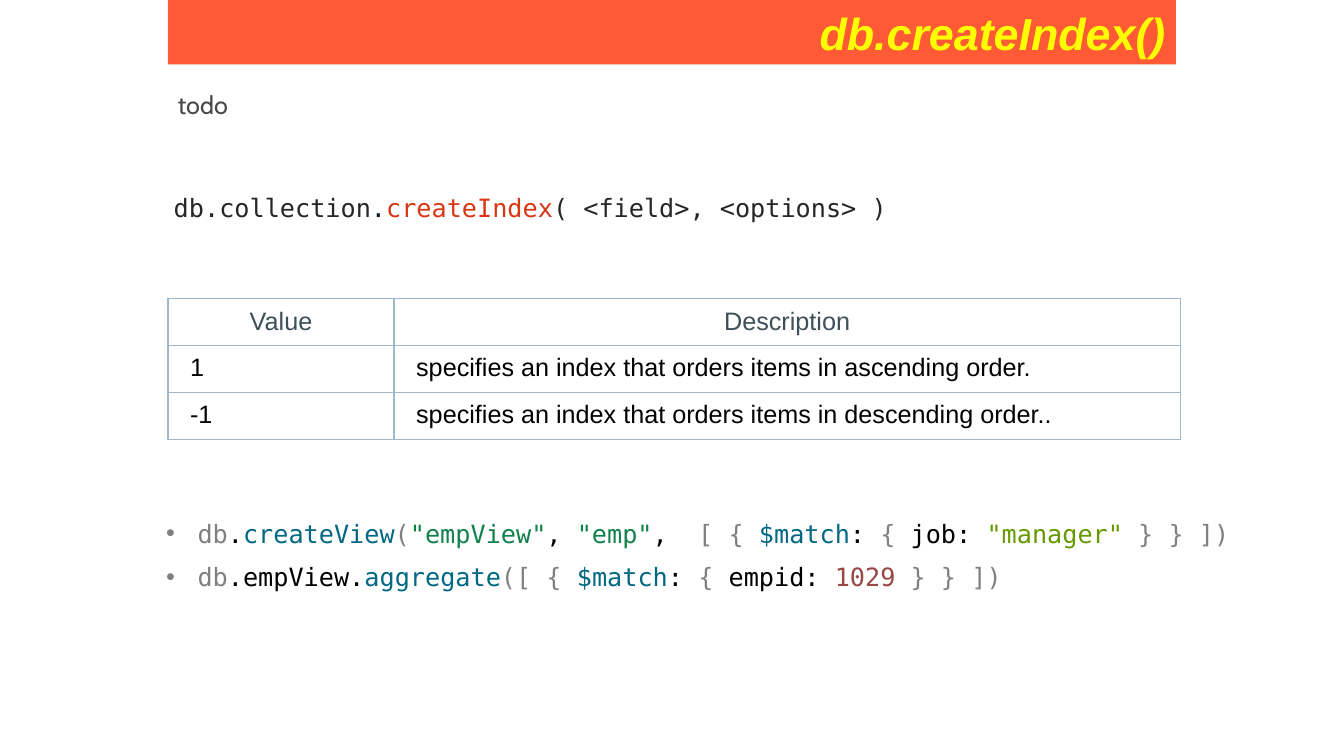
from dataclasses import dataclass

from lxml import etree
from pptx import Presentation
from pptx.dml.color import RGBColor
from pptx.enum import shapes, text
from pptx.oxml import ns
from pptx.util import Pt


@dataclass(frozen=True)
class Theme:
    sans: str = "Arial"
    note: str = "Cabin"
    mono: str = "DejaVu Sans Mono"
    title_size: int = 32
    body_size: int = 18
    banner: str = "FF5A36"
    title: str = "FFFF00"
    todo: str = "494747"
    code: str = "262626"
    dot: str = "001E2B"
    method: str = "D83713"
    header: str = "3D4F58"
    border: str = "9FB8CD"
    black: str = "000000"
    gray: str = "808080"
    call: str = "036883"
    string: str = "12824D"
    value: str = "669900"
    number: str = "994646"


THEME = Theme()

SYNTAX = [
    ("db.collection", THEME.code), (".", THEME.dot),
    ("createIndex", THEME.method), ("( <field>, <options> )", THEME.code),
]
EXAMPLES = [
    [("db", THEME.gray), (".", THEME.black), ("createView", THEME.call),
     ("(", THEME.gray), ('"empView"', THEME.string), (", ", THEME.black),
     ('"emp"', THEME.string), (", ", THEME.black), (" [ { ", THEME.gray),
     ("$match", THEME.call), (": ", THEME.black), ("{", THEME.gray),
     (" job: ", THEME.black), ('"manager" ', THEME.value),
     ("} } ])", THEME.gray)],
    [("db", THEME.gray), (".empView.", THEME.black),
     ("aggregate", THEME.call), ("([ { ", THEME.gray),
     ("$match", THEME.call), (": ", THEME.black), ("{ ", THEME.gray),
     ("empid: ", THEME.black), ("1029", THEME.number),
     (" } } ])", THEME.gray)],
]
INDEX_ROWS = [
    ("Value", "Description"),
    ("1", "specifies an index that orders items in ascending order."),
    ("-1", "specifies an index that orders items in descending order.."),
]


def add_spans(para, spans, font, size=THEME.body_size, strong=False):
    for wording, color in spans:
        span = para.add_run()
        span.text = wording
        span.font.name = font
        span.font.size = Pt(size)
        span.font.color.rgb = RGBColor.from_string(color)
        if strong:
            span.font.bold = span.font.italic = True


def add_banner(page, wording, left, top, width, height):
    box = page.shapes.add_shape(shapes.MSO_SHAPE.RECTANGLE,
                                Pt(left), Pt(top), Pt(width), Pt(height))
    box.shadow.inherit = False
    box.fill.solid()
    box.fill.fore_color.rgb = RGBColor.from_string(THEME.banner)
    box.line.fill.background()
    para = box.text_frame.paragraphs[0]
    para.alignment = text.PP_ALIGN.RIGHT
    add_spans(para, [(wording, THEME.title)], THEME.sans, THEME.title_size, True)


def add_bullet(para, indent):
    props = para._p.get_or_add_pPr()
    props.set("marL", str(Pt(indent)))
    props.set("indent", str(-Pt(indent)))
    etree.SubElement(props, ns.qn("a:buFont"), typeface=THEME.sans)
    etree.SubElement(props, ns.qn("a:buChar"), char="•")


def add_text(page, lines, font, left, top, width, height, bulleted=False):
    box = page.shapes.add_textbox(Pt(left), Pt(top), Pt(width), Pt(height))
    frame = box.text_frame
    frame.word_wrap = True
    for number, spans in enumerate(lines):
        para = frame.add_paragraph() if number else frame.paragraphs[0]
        if number:
            para.space_before = Pt(9.5)
        if bulleted:
            add_bullet(para, 22.5)
        add_spans(para, spans, font)


def add_cell_borders(cell):
    props = cell._tc.get_or_add_tcPr()
    for position, side in enumerate(("lnL", "lnR", "lnT", "lnB")):
        line = etree.Element(ns.qn("a:" + side), w=str(Pt(1)))
        fill = etree.SubElement(line, ns.qn("a:solidFill"))
        etree.SubElement(fill, ns.qn("a:srgbClr"), val=THEME.border)
        props.insert(position, line)


def add_index_table(page, rows, left, top, widths, row_height):
    table = page.shapes.add_table(len(rows), len(widths), Pt(left), Pt(top),
                                  Pt(sum(widths)),
                                  Pt(row_height * len(rows))).table
    table.horz_banding = False
    for column, width in zip(table.columns, widths):
        column.width = Pt(width)
    for r, row in enumerate(rows):
        table.rows[r].height = Pt(row_height)
        for c, wording in enumerate(row):
            cell = table.cell(r, c)
            cell.fill.background()
            cell.margin_left = Pt(15.8 if r else 6)
            cell.margin_right = cell.margin_top = cell.margin_bottom = Pt(6)
            para = cell.text_frame.paragraphs[0]
            if r == 0:
                cell.vertical_anchor = text.MSO_ANCHOR.MIDDLE
                para.alignment = text.PP_ALIGN.CENTER
            color = THEME.black if r else THEME.header
            add_spans(para, [(wording, color)], THEME.sans)
            add_cell_borders(cell)


def main():
    deck = Presentation()
    deck.slide_width, deck.slide_height = Pt(960), Pt(540)
    page = deck.slides.add_slide(deck.slide_layouts[6])

    # Title and note
    add_banner(page, "db.createIndex()", 120, 0, 720, 46)
    add_text(page, [[("todo", THEME.todo)]], THEME.note, 120, 60, 720, 29)

    # Syntax and its values
    add_text(page, [SYNTAX], THEME.mono, 117, 134, 732, 29)
    add_index_table(page, INDEX_ROWS, 120, 213, (161.5, 561.5), 33.5)

    # Code examples
    add_text(page, EXAMPLES, THEME.mono, 111.5, 366.5, 788.5, 60.5, bulleted=True)

    deck.save("out.pptx")


if __name__ == "__main__":
    main()
